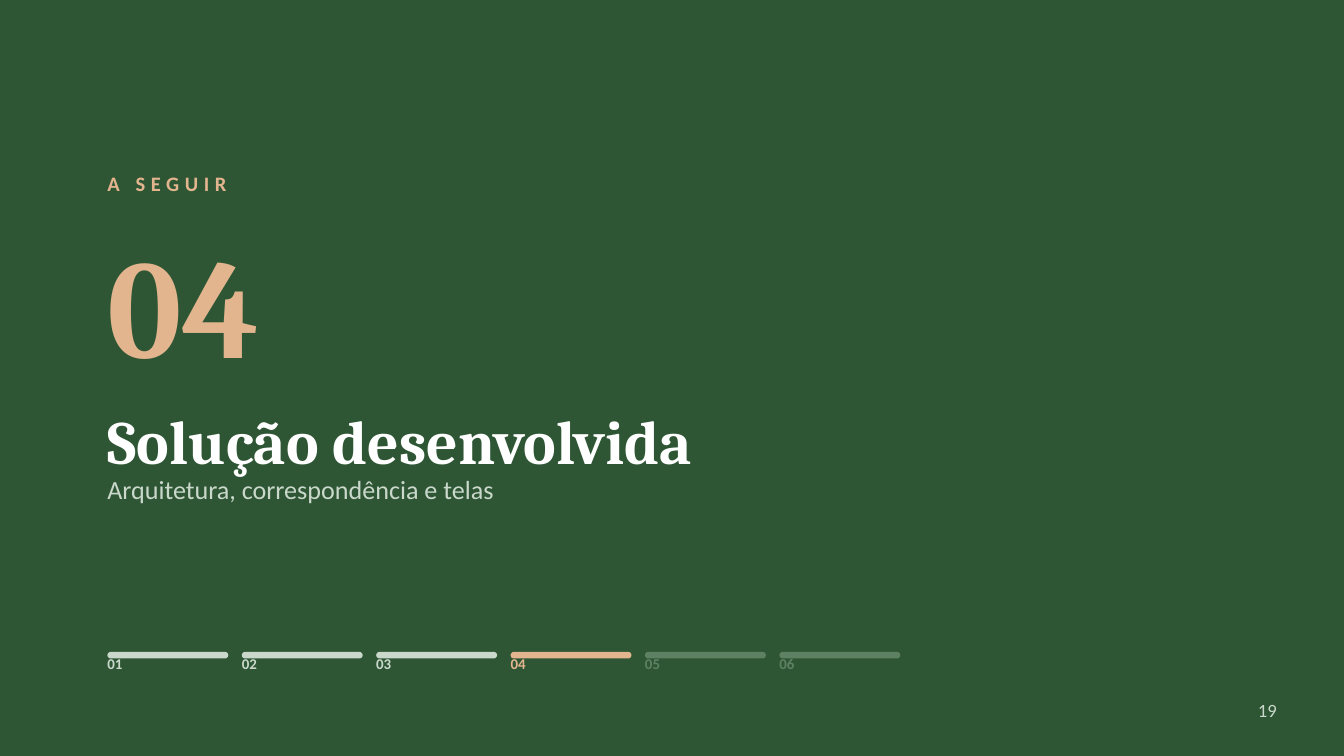
import pptx
import pptx.util
import pptx.dml.color
import pptx.enum.shapes
import pptx.enum.text

Cm = pptx.util.Cm
Pt = pptx.util.Pt
PEACH, MINT, MOSS = "E3B58F", "C9D8CB", "5E8063"


def tint(code):
    return pptx.dml.color.RGBColor.from_string(code)


def write(slide, text, box, size, color, lead, font="Calibri", bold=False, track=0, align="LEFT"):
    frame = slide.shapes.add_textbox(*map(Cm, box)).text_frame
    frame.margin_left = frame.margin_right = frame.margin_top = frame.margin_bottom = 0
    frame.word_wrap = True
    frame.auto_size = pptx.enum.text.MSO_AUTO_SIZE.SHAPE_TO_FIT_TEXT
    para = frame.paragraphs[0]
    para.alignment = pptx.enum.text.PP_ALIGN[align]
    para.line_spacing = Pt(lead)
    run = para.add_run()
    run.text = text
    run.font.name, run.font.size, run.font.bold = font, Pt(size), bold
    run.font.color.rgb = tint(color)
    if track:
        run._r.get_or_add_rPr().set("spc", str(track * 100))


def title(slide, box, number, name, topics):
    left, top, width, _ = box
    write(slide, "A SEGUIR", (left, top, 25.4, 2.06), 22, PEACH, 26.4, bold=True, track=6)
    write(slide, number, (left, top + 1.8, 17.78, 6.81), 150, PEACH, 180, font="Cambria", bold=True)
    write(slide, name, (left, top + 8.79, width, 3.33), 66, "FFFFFF", 79.2, font="Cambria", bold=True)
    write(slide, topics, (left, top + 11.43, width, 2.59), 28, MINT, 33.6)


def steps(slide, box, count, current):
    left, top, width, _ = box
    gap = 0.51
    size = (width - gap * (count - 1)) / count
    for step in range(1, count + 1):
        x = left + (step - 1) * (size + gap)
        color = MINT if step < current else PEACH if step == current else MOSS
        bar = slide.shapes.add_shape(
            pptx.enum.shapes.MSO_SHAPE.ROUNDED_RECTANGLE, Cm(x), Cm(top), Cm(size), Cm(0.25))
        bar.adjustments[0] = 0.5
        bar.shadow.inherit = False
        bar.fill.solid()
        bar.fill.fore_color.rgb = tint(color)
        bar.line.fill.background()
        write(slide, f"{step:02}", (x, top + 0.1, size, 1.5), 16, color, 19.2, bold=True)


def footer(slide, box, page):
    write(slide, page, box, 20, MINT, 24, align="RIGHT")


def main():
    deck = pptx.Presentation()
    deck.slide_width, deck.slide_height = Cm(50.8), Cm(50.8 * 9 / 16)
    slide = deck.slides.add_slide(deck.slide_layouts[6])
    slide.background.fill.solid()
    slide.background.fill.fore_color.rgb = tint("2E5634")
    title(slide, (4.06, 6.45, 43.18, 14.02), "04", "Solução desenvolvida",
          "Arquitetura, correspondência e telas")
    steps(slide, (4.06, 24.64, 29.97, 1.6), 6, 4)
    footer(slide, (45.72, 26.42, 2.54, 0.97), "19")
    deck.save("out.pptx")


if __name__ == "__main__":
    main()
